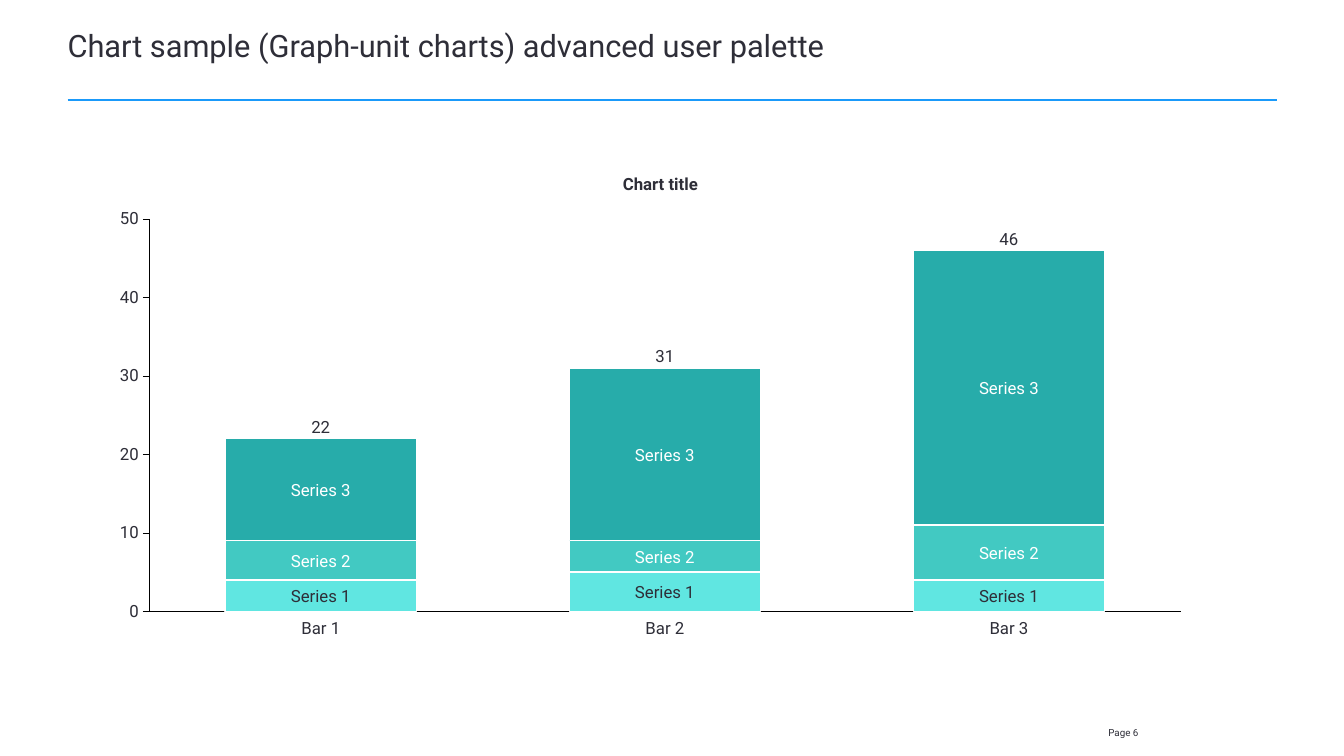
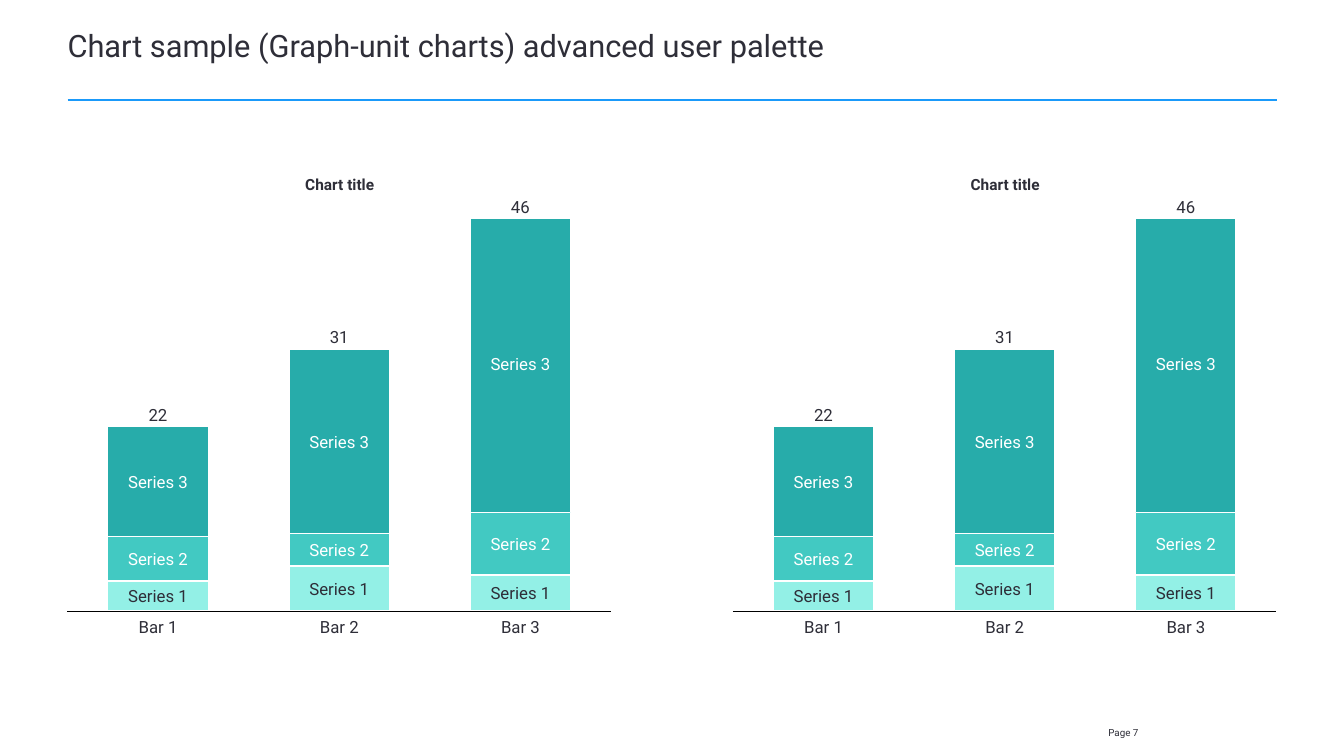
from itertools import accumulate

from pptx import Presentation
from pptx.chart.data import CategoryChartData
from pptx.dml.color import RGBColor
from pptx.enum.chart import XL_CHART_TYPE, XL_TICK_LABEL_POSITION, XL_TICK_MARK
from pptx.enum.shapes import MSO_CONNECTOR
from pptx.enum.text import MSO_ANCHOR, MSO_AUTO_SIZE, PP_ALIGN
from pptx.oxml import parse_xml
from pptx.oxml.ns import nsdecls
from pptx.util import Inches, Pt

INK = RGBColor(0x2E, 0x2E, 0x38)
WHITE = RGBColor(0xFF, 0xFF, 0xFF)
BLACK = RGBColor(0x00, 0x00, 0x00)
BLUE = RGBColor(0x1A, 0x9A, 0xFA)
AQUA = RGBColor(0x60, 0xE6, 0xE1)
PALE_AQUA = RGBColor(0x93, 0xF0, 0xE6)
TURQUOISE = RGBColor(0x42, 0xC9, 0xC2)
TEAL = RGBColor(0x27, 0xAC, 0xAA)

TITLE = "Chart sample (Graph-unit charts) advanced user palette"
SERIES = ("Series 1", "Series 2", "Series 3")
SERIES_INKS = (INK, WHITE, WHITE)
BARS = ("Bar 1", "Bar 2", "Bar 3")
TOTALS = ("22", "31", "46")
LABEL_HEIGHT = 0.2


class Deck:
    font = "Roboto"
    chart_font = "Arial"

    def __init__(self):
        self.presentation = Presentation()
        self.presentation.slide_width = Inches(13.33)
        self.presentation.slide_height = Inches(7.5)
        self.slide = None

    def page(self, number):
        """Start a slide with the shared title, rule and page number."""
        layout = self.presentation.slide_layouts[6]
        self.slide = self.presentation.slides.add_slide(layout)
        self.text(f"Page {number}", 10.43, 7.12, 0.87, 0.22, size=7,
                  align=PP_ALIGN.RIGHT, anchor=MSO_ANCHOR.BOTTOM,
                  insets=(0.01, 0.01, 0.01, 0.01))
        self.rule(0.67, 12.67, 0.99)
        self.text(TITLE, 0.67, 0.32, 12, 0.65, size=22,
                  align=PP_ALIGN.LEFT, spacing=0.85)

    def rule(self, left, right, top):
        line = self.slide.shapes.add_connector(
            MSO_CONNECTOR.STRAIGHT,
            Inches(left), Inches(top), Inches(right), Inches(top))
        line.line.color.rgb = BLUE
        line.line.width = Pt(1.5)
        line.element.spPr.append(parse_xml(f"<a:effectLst {nsdecls('a')}/>"))

    def text(self, words, left, top, width, height, size=12, color=INK,
             bold=False, align=PP_ALIGN.CENTER, anchor=MSO_ANCHOR.TOP,
             insets=(0, 0, 0, 0), wrap=True, spacing=None):
        box = self.slide.shapes.add_textbox(
            Inches(left), Inches(top), Inches(width), Inches(height))
        frame = box.text_frame
        frame.text = words
        frame.word_wrap = wrap
        frame.vertical_anchor = anchor
        (frame.margin_left, frame.margin_top,
         frame.margin_right, frame.margin_bottom) = map(Inches, insets)
        para = frame.paragraphs[0]
        para.alignment = align
        para.line_spacing = spacing
        font = para.runs[0].font
        font.name, font.size, font.bold = self.font, Pt(size), bold
        font.color.rgb = color
        return box

    def chart_title(self, left, top, width, size):
        box = self.text("Chart title", left, top, width, LABEL_HEIGHT,
                        size=size, bold=True, anchor=MSO_ANCHOR.BOTTOM,
                        insets=(0, 0.04, 0, 0), spacing=0.85)
        box.text_frame.paragraphs[0].space_after = Pt(6)
        box.text_frame.auto_size = MSO_AUTO_SIZE.SHAPE_TO_FIT_TEXT

    def label(self, words, center, top, width, **style):
        self.text(words, center - width / 2, top, width, LABEL_HEIGHT,
                  wrap=False, **style)

    def stacked_chart(self, box, plot, rows, colors, top_value, step=None):
        """Draw stacked columns; the value axis shows only if step is given."""
        data = CategoryChartData()
        data.categories = ["1", "2", "3"]
        for name, values in zip(SERIES, rows):
            data.add_series(name, values)
        chart = self.slide.shapes.add_chart(
            XL_CHART_TYPE.COLUMN_STACKED, *map(Inches, box), data).chart
        chart.has_legend = False
        chart.has_title = False
        chart.font.name, chart.font.size = self.chart_font, Pt(10)
        chart.font.color.rgb = WHITE
        self.place_plot(chart, plot)

        columns = chart.plots[0]
        columns.gap_width, columns.overlap = 80, 100
        columns.vary_by_categories = False
        for series, color in zip(columns.series, colors):
            series.format.fill.solid()
            series.format.fill.fore_color.rgb = color
            series.format.line.color.rgb = WHITE
            series.format.line.width = Pt(1)

        for axis in (chart.category_axis, chart.value_axis):
            axis.has_major_gridlines = False
            axis.major_tick_mark = axis.minor_tick_mark = XL_TICK_MARK.NONE
            axis.format.line.color.rgb = BLACK
            axis.format.line.width = Pt(0.25)
        chart.category_axis.tick_label_position = XL_TICK_LABEL_POSITION.NONE
        scale = chart.value_axis
        scale.minimum_scale, scale.maximum_scale = 0, top_value
        if step:
            scale.major_unit = step
            scale.major_tick_mark = XL_TICK_MARK.OUTSIDE
            labels = scale.tick_labels
            labels.number_format = '#,##0;"-"#,##0'
            labels.number_format_is_linked = False
            labels.font.name, labels.font.size = self.font, Pt(12)
            labels.font.color.rgb = INK
        else:
            scale.visible = False
        self.bar_labels(box, plot, rows, top_value)

    def place_plot(self, chart, plot):
        """Fix the inner plot area, given as fractions of the chart."""
        area = chart.element.chart.plotArea
        for old in area.findall("{*}layout"):
            area.remove(old)
        sizes = "".join(f'<c:{tag} val="{value}"/>'
                        for tag, value in zip("xywh", plot))
        area.insert(0, parse_xml(
            f'<c:layout {nsdecls("c")}><c:manualLayout>'
            '<c:layoutTarget val="inner"/>'
            '<c:xMode val="edge"/><c:yMode val="edge"/>'
            f'{sizes}</c:manualLayout></c:layout>'))

    def bar_labels(self, box, plot, rows, top_value):
        """Label the segments, totals and names from the plotted values."""
        left, top, width, height = box
        x, y, w, h = plot
        base = top + (y + h) * height
        unit = h * height / top_value
        pad = (0.02, 0, 0.02, 0)
        for index, values in enumerate(zip(*rows)):
            center = left + width * (x + w * (index + 0.5) / len(BARS))
            ends = list(accumulate(values))
            for name, ink, value, end in zip(SERIES, SERIES_INKS, values, ends):
                middle = base - (end - value / 2) * unit
                self.label(name, center, middle - LABEL_HEIGHT / 2, 0.66,
                           color=ink, anchor=MSO_ANCHOR.MIDDLE, insets=pad)
            bar_top = base - min(ends[-1], top_value) * unit
            self.label(TOTALS[index], center, bar_top - LABEL_HEIGHT - 0.02,
                       0.26, anchor=MSO_ANCHOR.BOTTOM, insets=pad)
            self.label(BARS[index], center, base + 0.06, 0.42)


def main():
    deck = Deck()

    deck.page(6)
    deck.stacked_chart(
        (1, 2.05, 10.8, 4.14), (0.044, 0.03, 0.948, 0.94),
        ((4, 5, 4), (5, 4, 7), (13, 22, 35)),
        (AQUA, TURQUOISE, TEAL), top_value=50, step=10)
    deck.chart_title(1.58, 1.72, 9.94, 12)

    deck.page(7)
    for left in (0.58, 7.18):
        deck.stacked_chart(
            (left, 2.08, 5.57, 4.07), (0.016, 0.022, 0.968, 0.956),
            ((10, 15, 12), (15, 11, 21), (37, 62, 100)),
            (PALE_AQUA, TURQUOISE, TEAL), top_value=132)
        deck.chart_title(left + 0.51, 1.72, 4.56, 11)

    deck.presentation.save("out.pptx")


if __name__ == "__main__":
    main()
